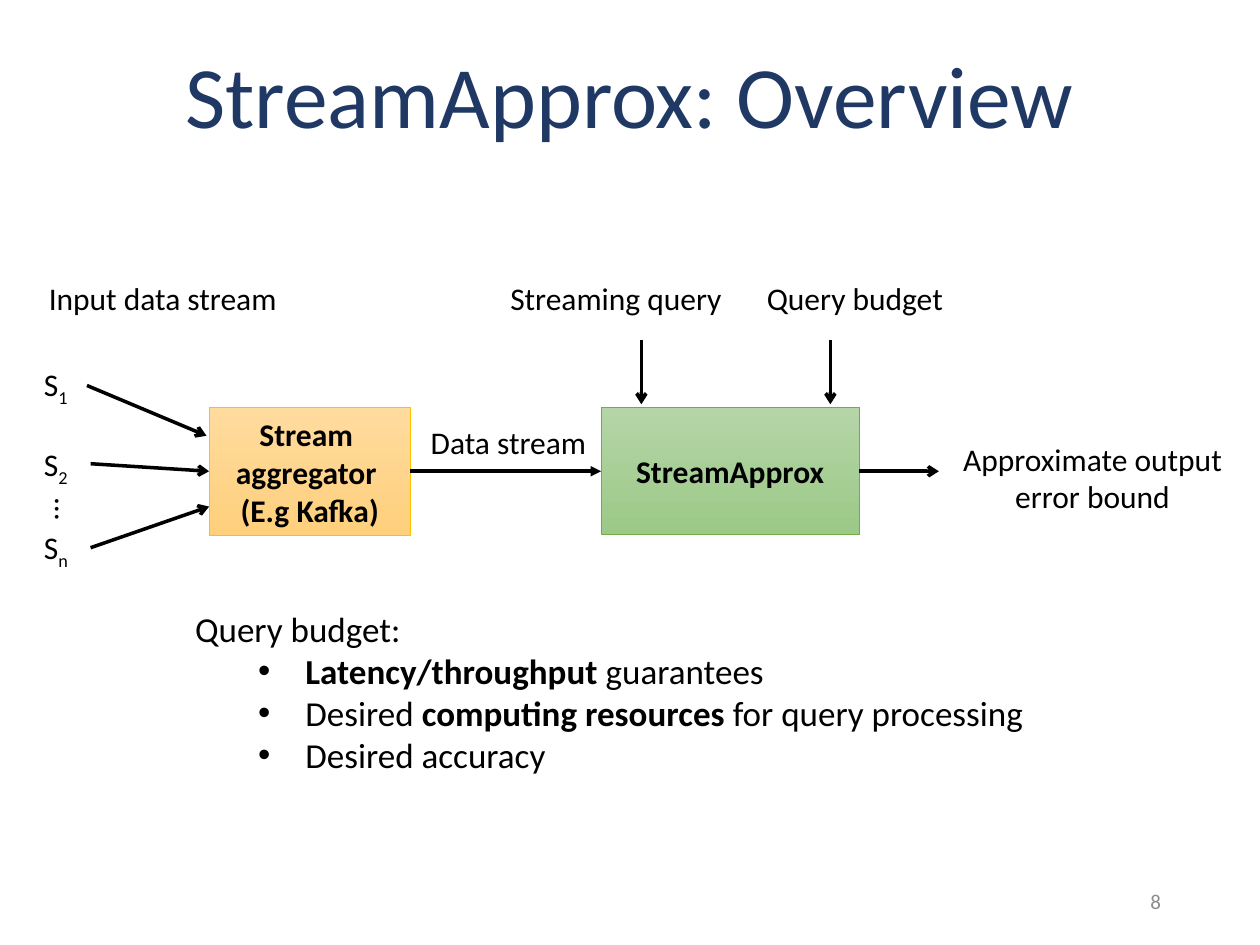
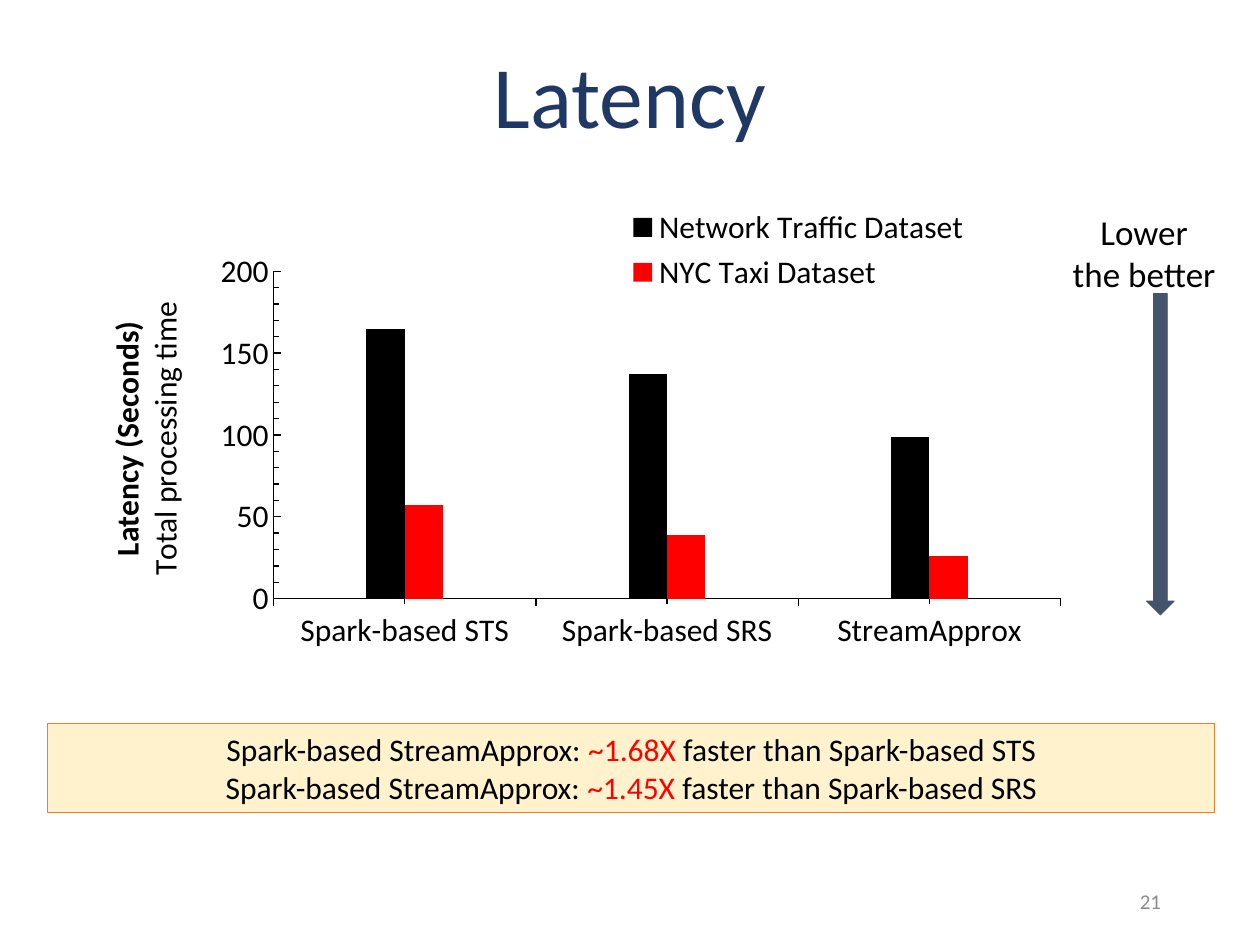
from lxml import etree
from pptx import Presentation
from pptx.chart.data import CategoryChartData
from pptx.dml.color import RGBColor
from pptx.enum.chart import XL_CHART_TYPE, XL_LEGEND_POSITION, XL_TICK_MARK
from pptx.enum.shapes import MSO_CONNECTOR, MSO_SHAPE
from pptx.enum.text import MSO_ANCHOR, PP_ALIGN
from pptx.oxml.ns import qn
from pptx.util import Pt

LEFT, CENTER, RIGHT = PP_ALIGN.LEFT, PP_ALIGN.CENTER, PP_ALIGN.RIGHT
TOP, MIDDLE = MSO_ANCHOR.TOP, MSO_ANCHOR.MIDDLE
RECT, DOWN_ARROW = MSO_SHAPE.RECTANGLE, MSO_SHAPE.DOWN_ARROW
STRAIGHT = MSO_CONNECTOR.STRAIGHT
COLUMNS = XL_CHART_TYPE.COLUMN_CLUSTERED
LEGEND_TOP = XL_LEGEND_POSITION.TOP
TICK_IN, TICK_OUT = XL_TICK_MARK.INSIDE, XL_TICK_MARK.OUTSIDE

FONT = "Calibri"
COLORS = {
    "title": "203864", "text": "000000", "number": "8C8C8C", "red": "FF0000",
    "green_top": "B5D5A7", "green_bottom": "9CC987", "green_line": "70AD47",
    "gold_top": "FFDB9E", "gold_bottom": "FFD07C", "gold_line": "FFC000",
    "cream": "FFF2CC", "orange": "ED7D31", "slate": "44546A",
}


def color(name):
    return RGBColor.from_string(COLORS[name])


class Deck:
    def __init__(self):
        self.prs = Presentation()
        self.prs.slide_width, self.prs.slide_height = Pt(720), Pt(540)
        self.s = None

    def slide(self, title, number):
        self.s = self.prs.slides.add_slide(self.prs.slide_layouts[5])
        sp = self.s.shapes.title
        sp.left, sp.top, sp.width, sp.height = Pt(49.5), Pt(21.6), Pt(621), Pt(71.3)
        self.fill_text(sp.text_frame, [[title]], 50, "title", anchor=MIDDLE)
        sp.text_frame.paragraphs[0].line_spacing = 0.9
        self.text(508.5, 500.5, 162, 28.8, [[number]], 12, "number", RIGHT, MIDDLE)

    def font(self, font, size=18, name="text", bold=False):
        font.name, font.size, font.bold = FONT, Pt(size), bold
        font.color.rgb = color(name)

    def fill_text(self, tf, lines, size=18, name="text", align=CENTER, anchor=TOP,
                  wrap=True):
        tf.word_wrap = wrap
        tf.vertical_anchor = anchor
        for i, runs in enumerate(lines):
            p = tf.paragraphs[0] if i == 0 else tf.add_paragraph()
            p.alignment = align
            for run in runs:
                text, style = run if isinstance(run, tuple) else (run, {})
                r = p.add_run()
                r.text = text
                self.font(r.font, size, style.get("color", name), style.get("bold", False))
                if style.get("sub"):
                    r.font._element.set("baseline", "-25000")

    def text(self, x, y, w, h, lines, size=18, name="text", align=CENTER,
             anchor=TOP, wrap=True):
        sp = self.s.shapes.add_textbox(Pt(x), Pt(y), Pt(w), Pt(h))
        self.fill_text(sp.text_frame, lines, size, name, align, anchor, wrap)
        return sp

    def bullet(self, p):
        pPr = p._p.get_or_add_pPr()
        pPr.set("marL", str(Pt(63)))
        pPr.set("indent", str(-Pt(27)))
        etree.SubElement(pPr, qn("a:buFont"), typeface="Arial")
        etree.SubElement(pPr, qn("a:buChar"), char="•")

    def shape(self, kind, x, y, w, h, fill, line, lines=()):
        sp = self.s.shapes.add_shape(kind, Pt(x), Pt(y), Pt(w), Pt(h))
        sp.shadow.inherit = False
        if isinstance(fill, tuple):
            sp.fill.gradient()
            sp.fill.gradient_angle = 270
            for stop, position, name in zip(sp.fill.gradient_stops, (0, 1), fill):
                stop.position = position
                stop.color.rgb = color(name)
        else:
            sp.fill.solid()
            sp.fill.fore_color.rgb = color(fill)
        sp.line.color.rgb = color(line)
        sp.line.width = Pt(0.5)
        self.fill_text(sp.text_frame, lines, anchor=MIDDLE)

    def arrow(self, x1, y1, x2, y2, head="arrow"):
        c = self.s.shapes.add_connector(STRAIGHT, Pt(x1), Pt(y1), Pt(x2), Pt(y2))
        c.line.color.rgb = color("text")
        c.line.width = Pt(2)
        etree.SubElement(c.line._get_or_add_ln(), qn("a:tailEnd"), type=head)
        etree.SubElement(c._element.spPr, qn("a:effectLst"))

    def place(self, element, index, inner=False, **box):
        for old in element.findall(qn("c:layout")):
            element.remove(old)
        layout = etree.Element(qn("c:layout"))
        manual = etree.SubElement(layout, qn("c:manualLayout"))
        if inner:
            etree.SubElement(manual, qn("c:layoutTarget"), val="inner")
        for tag in ("xMode", "yMode"):
            etree.SubElement(manual, qn("c:" + tag), val="edge")
        for tag, value in box.items():
            etree.SubElement(manual, qn("c:" + tag), val=str(value))
        element.insert(index, layout)

    def chart(self, x, y, w, h, cats, series, axis_title):
        data = CategoryChartData()
        data.categories = cats
        for name, values, _ in series:
            data.add_series(name, values)
        chart = self.s.shapes.add_chart(COLUMNS, Pt(x), Pt(y), Pt(w), Pt(h), data).chart
        self.font(chart.font)
        chart.has_title = False
        plot = chart.plots[0]
        plot.gap_width, plot.overlap, plot.vary_by_categories = 485, 0, False
        for ser, (_, _, name) in zip(plot.series, series):
            ser.format.fill.solid()
            ser.format.fill.fore_color.rgb = color(name)
        cat, val = chart.category_axis, chart.value_axis
        for axis, tick in ((cat, TICK_OUT), (val, TICK_IN)):
            axis.major_tick_mark = axis.minor_tick_mark = tick
            axis.has_major_gridlines = False
            axis.format.line.color.rgb = color("text")
            axis.format.line.width = Pt(0.75)
            self.font(axis.tick_labels.font)
        val.minimum_scale, val.maximum_scale = 0, 200
        val.major_unit, val.minor_unit = 50, 10
        tf = val.axis_title.text_frame
        self.fill_text(tf, axis_title)
        tf._txBody.bodyPr.set("rot", "-5400000")
        tf._txBody.bodyPr.set("vert", "horz")
        chart.has_legend = True
        chart.legend.position = LEGEND_TOP
        chart.legend.include_in_layout = False
        self.font(chart.legend.font)
        plot_area = chart._chartSpace.chart.plotArea
        self.place(plot_area, 0, True, x=0.2, y=0.16, w=0.78, h=0.61)
        self.place(chart.legend._element, 1, x=0.54, y=0.03, w=0.36, h=0.18)
        self.place(val.axis_title._element, 1, x=0.03, y=0.21)


def overview(deck):
    deck.slide("StreamApprox: Overview", "8")
    for label, x, w in (("Input data stream", 8, 170), ("Streaming query", 264, 176),
                        ("Query budget", 428, 121)):
        deck.text(x, 156, w, 29, [[label]])
    for x in (366.5, 474.5):
        deck.arrow(x, 194.5, x, 231)

    sources = (("1", 205, (49.7, 220.3, 118, 249)),
               ("2", 250.6, (51.8, 265, 119.5, 269.3)),
               ("n", 298, (51.8, 313, 119.5, 289.5)))
    for index, y, ends in sources:
        deck.text(18, y, 34, 29, [["S", (index, {"sub": True})]], align=LEFT)
        deck.arrow(*ends)
    deck.text(27.4, 274.3, 22.3, 29, [["…"]], align=LEFT).rotation = 90

    bold = {"bold": True}
    deck.shape(RECT, 119.5, 233, 115, 73, ("gold_top", "gold_bottom"), "gold_line",
               [[(line, bold)] for line in ("Stream ", "aggregator ", "(E.g Kafka)")])
    deck.shape(RECT, 343.5, 232.6, 147.5, 72.7, ("green_top", "green_bottom"),
               "green_line", [[("StreamApprox", bold)]])
    deck.text(233.3, 238.3, 114.5, 29, [["Data stream"]])
    deck.arrow(234.5, 269.3, 343.5, 269.3, "triangle")
    deck.arrow(491, 269.3, 536.5, 269.3)
    deck.text(536.5, 247.7, 175.7, 51, [["Approximate output error bound"]])

    budget = deck.text(104.4, 343.4, 510.5, 104.4, [
        ["Query budget:"],
        [("Latency/throughput", bold), " guarantees"],
        ["Desired ", ("computing resources ", bold), "for query processing"],
        ["Desired accuracy"],
    ], 20, align=LEFT)
    for p in budget.text_frame.paragraphs[1:]:
        deck.bullet(p)


def latency(deck):
    deck.slide("Latency", "21")
    deck.chart(41, 106, 576.7, 306.7,
               ("Spark-based STS", "Spark-based SRS", "StreamApprox"),
               (("Network Traffic Dataset", (165, 137, 99), "text"),
                ("NYC Taxi Dataset", (57, 39, 26), "red")),
               [[("Latency (Seconds)", {"bold": True})], ["Total processing time"]])
    deck.text(603.4, 116.6, 100.8, 55.4, [["Lower"], ["the better"]], 20, wrap=False)
    deck.shape(DOWN_ARROW, 655.2, 167.8, 15.8, 183.6, "slate", "slate")
    deck.shape(RECT, 27.4, 413.3, 666.7, 51, "cream", "orange", [
        ["Spark-based StreamApprox: ", (gain, {"color": "red"}),
         "faster than Spark-based " + rival]
        for gain, rival in (("~1.68X ", "STS"), ("~1.45X ", "SRS"))])


def main():
    deck = Deck()
    overview(deck)
    latency(deck)
    deck.prs.save("out.pptx")


if __name__ == "__main__":
    main()
